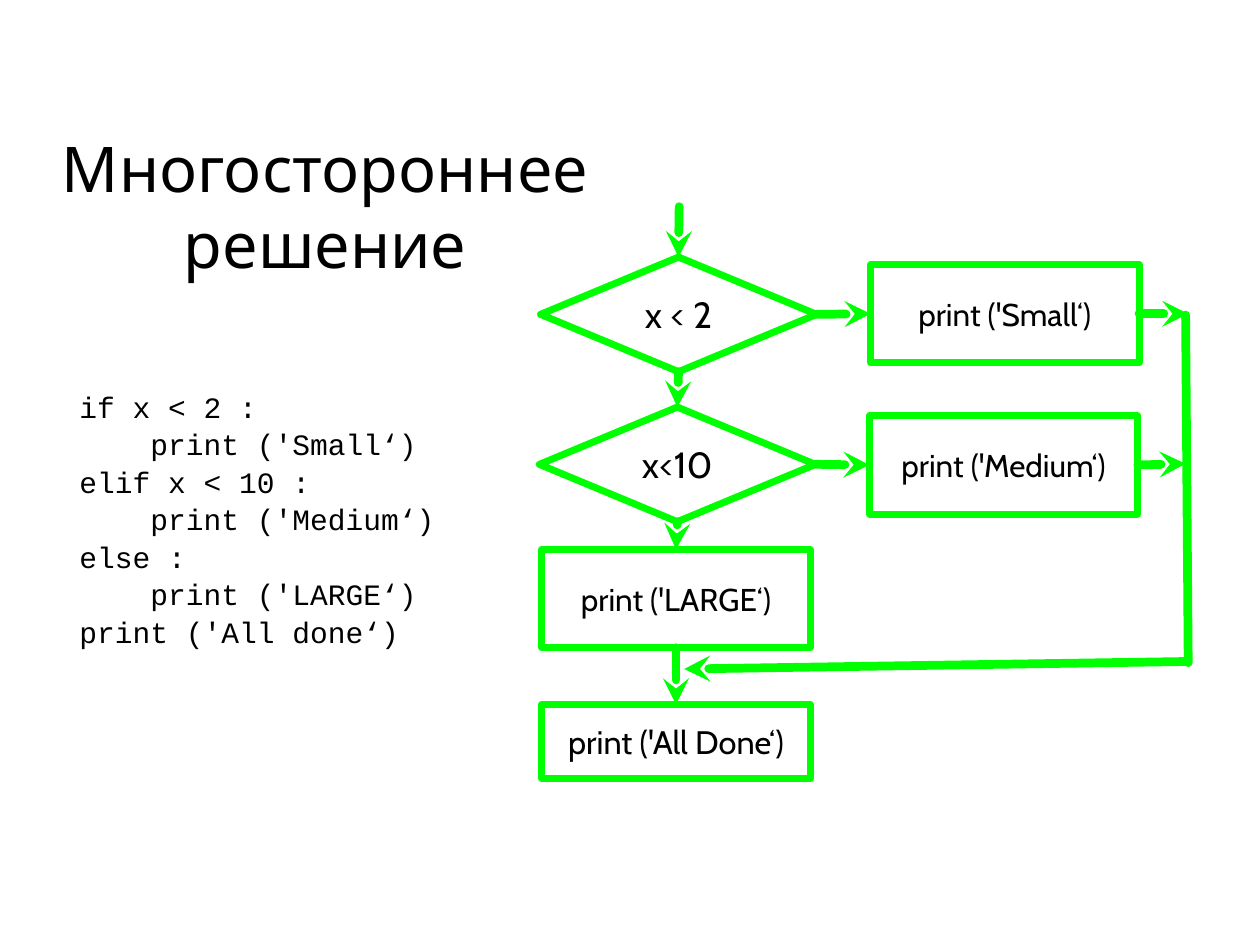
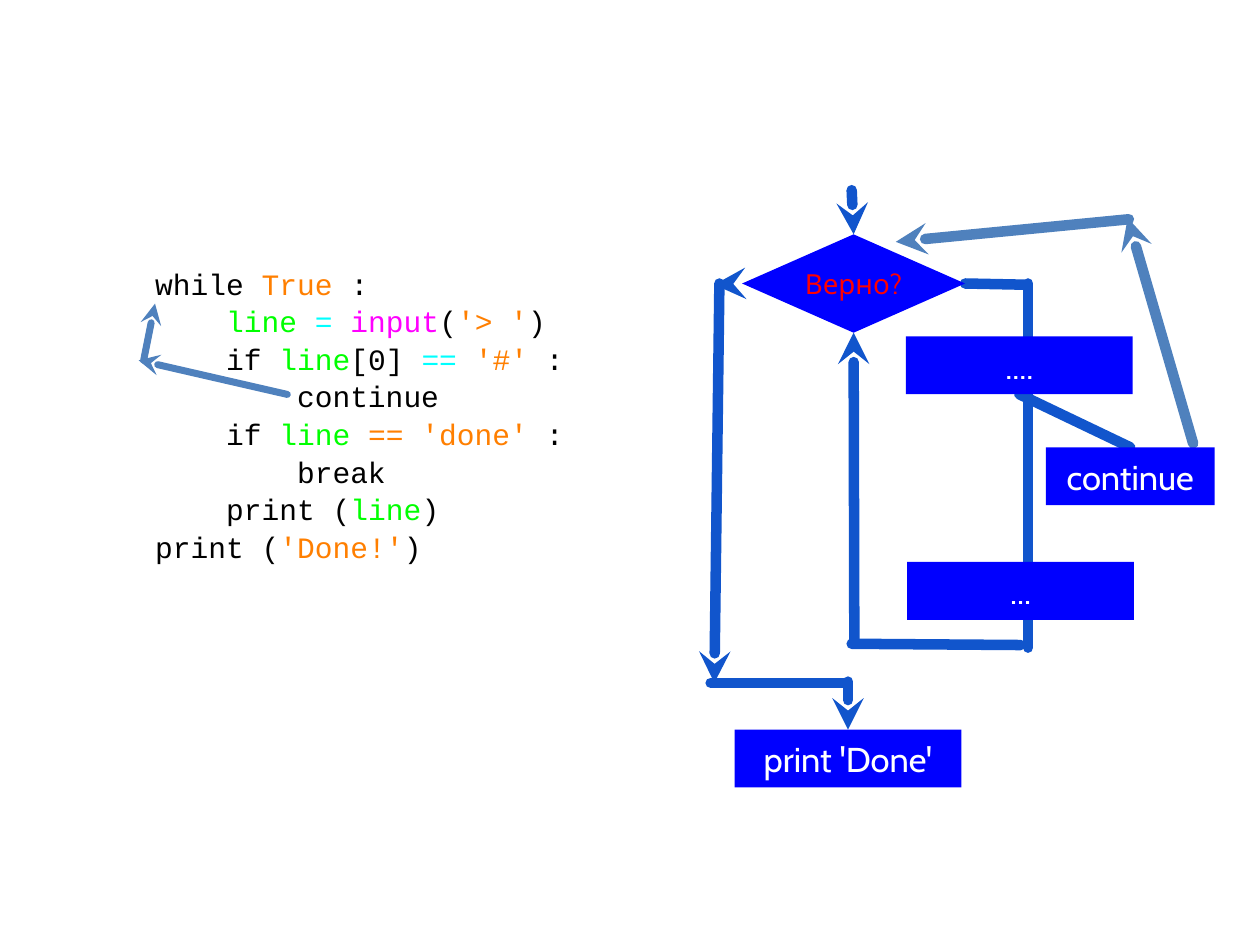
from dataclasses import dataclass
from typing import NamedTuple

from lxml.etree import SubElement
from pptx import Presentation
from pptx.dml.color import RGBColor
from pptx.enum.shapes import MSO_CONNECTOR as Connector, MSO_SHAPE as Shape
from pptx.enum.text import MSO_ANCHOR as Anchor, PP_ALIGN as Align
from pptx.oxml.ns import qn
from pptx.util import Pt

TOP, LEFT, BOTTOM, RIGHT = range(4)


@dataclass(frozen=True)
class Theme:
    ink: str = "000000"
    white: str = "FFFFFF"
    red: str = "FF0000"
    green: str = "00FF00"
    blue: str = "0000FF"
    flow_blue: str = "1155CC"
    steel: str = "4F81BD"
    orange: str = "FF7F00"
    cyan: str = "00FFFF"
    magenta: str = "FF00FF"
    font: str = "Cabin"
    code_font: str = "Courier New"
    title_size: float = 36
    code_size: float = 16.9
    code_spacing: float = 1.06
    condition_size: float = 20.8
    action_size: float = 18
    final_size: float = 18.6
    block_size: float = 19.7
    question_size: float = 15.8


class Joint(NamedTuple):
    shape: object
    side: int


class Deck:
    def __init__(self, theme):
        self.theme = theme
        self.presentation = Presentation()
        self.presentation.slide_width = Pt(720)
        self.presentation.slide_height = Pt(540)
        self.slide = None

    def new_slide(self):
        self.slide = self.presentation.slides.add_slide(self.presentation.slide_layouts[6])

    def style(self, paragraph, font, size, color=None):
        paragraph.font.name = font
        paragraph.font.size = Pt(size)
        if color:
            paragraph.font.color.rgb = RGBColor.from_string(color)

    def prepare(self, frame, inset=0):
        frame.word_wrap = True
        frame.vertical_anchor = Anchor.MIDDLE
        frame.margin_left = frame.margin_right = Pt(inset)
        frame.margin_top = frame.margin_bottom = Pt(inset)

    def text_box(self, bounds, inset=0):
        frame = self.slide.shapes.add_textbox(*map(Pt, bounds)).text_frame
        self.prepare(frame, inset)
        return frame

    def title(self, text, bounds):
        paragraph = self.text_box(bounds, 1.44).paragraphs[0]
        paragraph.text = text
        paragraph.alignment = Align.CENTER
        self.style(paragraph, self.theme.font, self.theme.title_size, self.theme.ink)

    def code(self, lines, bounds):
        theme = self.theme
        frame = self.text_box(bounds)
        indent = Pt(theme.code_size * 0.6 * 4)
        for index, (level, parts) in enumerate(lines):
            paragraph = frame.add_paragraph() if index else frame.paragraphs[0]
            paragraph.line_spacing = theme.code_spacing
            self.style(paragraph, theme.code_font, theme.code_size)
            paragraph._p.get_or_add_pPr().set("marL", str(level * indent))
            for text, color in parts:
                run = paragraph.add_run()
                run.text = text
                run.font.color.rgb = RGBColor.from_string(color)

    def box(self, text, bounds, size, color, kind=Shape.RECTANGLE, fill=None, outline=None):
        shape = self.slide.shapes.add_shape(kind, *map(Pt, bounds))
        shape.shadow.inherit = False
        if fill:
            shape.fill.solid()
            shape.fill.fore_color.rgb = RGBColor.from_string(fill)
        else:
            shape.fill.background()
        if outline:
            shape.line.color.rgb = RGBColor.from_string(outline)
            shape.line.width = Pt(4)
        else:
            shape.line.fill.background()
        self.prepare(shape.text_frame)
        paragraph = shape.text_frame.paragraphs[0]
        paragraph.text = text
        paragraph.alignment = Align.CENTER
        self.style(paragraph, self.theme.font, size, color)
        return shape

    def line(self, start, end, color, width, arrow=True):
        points = [(0, 0) if isinstance(point, Joint) else point for point in (start, end)]
        connector = self.slide.shapes.add_connector(
            Connector.STRAIGHT, *(Pt(value) for point in points for value in point))
        if isinstance(start, Joint):
            connector.begin_connect(*start)
        if isinstance(end, Joint):
            connector.end_connect(*end)
        connector.line.color.rgb = RGBColor.from_string(color)
        connector.line.width = Pt(width)
        outline = connector.line._get_or_add_ln()
        outline.set("cap", "rnd")
        SubElement(outline, qn("a:round"))
        if arrow:
            SubElement(outline, qn("a:tailEnd"), type="stealth")
        SubElement(connector._element.spPr, qn("a:effectLst"))
        tree = connector._element.getparent()
        tree.insert(2, connector._element)


def build_multiway_decision(deck):
    theme = deck.theme
    deck.new_slide()
    deck.title("Многостороннее решение", (24.5, 80.6, 322.6, 73.4))
    source = [
        (0, "if x < 2 :"),
        (1, "print ('Small‘)"),
        (0, "elif x < 10 :"),
        (1, "print ('Medium‘)"),
        (0, "else :"),
        (1, "print ('LARGE‘)"),
        (0, "print ('All done‘)"),
    ]
    deck.code([(level, [(text, theme.ink)]) for level, text in source],
              (45.4, 197.3, 226, 197.3))

    def condition(text, left, top):
        return deck.box(text, (left, top, 157.7, 65.5), theme.condition_size, theme.ink,
                        Shape.DIAMOND, outline=theme.green)

    def action(text, left, top, height=56.2, size=theme.action_size):
        return deck.box(text, (left, top, 153.4, height), size, theme.ink,
                        outline=theme.green)

    below_two = condition("x < 2", 308.9, 146.9)
    below_ten = condition("x<10", 308.2, 232.6)
    small = action("print ('Small‘)", 497.5, 151.2)
    medium = action("print ('Medium‘)", 496.8, 237.6)
    large = action("print ('LARGE‘)", 309.6, 313.9)
    all_done = action("print ('All Done‘)", 309.6, 402.5, 42.5, theme.final_size)

    arrows = [
        ((388.1, 118.1), Joint(below_two, TOP)),
        (Joint(below_two, BOTTOM), Joint(below_ten, TOP)),
        (Joint(below_ten, BOTTOM), Joint(large, TOP)),
        (Joint(large, BOTTOM), Joint(all_done, TOP)),
        (Joint(below_two, RIGHT), Joint(small, LEFT)),
        (Joint(below_ten, RIGHT), Joint(medium, LEFT)),
        (Joint(small, RIGHT), (679, 179.3)),
        (Joint(medium, RIGHT), (677.5, 265)),
        ((678.2, 378), (391, 382.3)),
    ]
    for start, end in arrows:
        deck.line(start, end, theme.green, 5)
    deck.line((677.5, 180), (679, 378.7), theme.green, 5, arrow=False)


def build_continue_loop(deck):
    theme = deck.theme
    ink, green, orange = theme.ink, theme.green, theme.orange
    deck.new_slide()
    question = deck.box("Верно?", (424.1, 133.9, 127.4, 56.2), theme.question_size,
                        theme.red, Shape.DIAMOND, fill=theme.blue)

    def block(text, left, top, width=129.6):
        return deck.box(text, (left, top, width, 33.1), theme.block_size, theme.white,
                        fill=theme.blue)

    first_step = block("....", 517.7, 192.2)
    block("...", 518.4, 321.1)
    skip = block("continue", 597.6, 255.6, 96.5)
    done = block("print 'Done'", 419.8, 416.9)

    deck.code([
        (0, [("while ", ink), ("True ", orange), (":", ink)]),
        (1, [("line ", green), ("= ", theme.cyan), ("input", theme.magenta), ("(", ink),
             ("'> '", orange), (")", ink)]),
        (1, [("if", ink), (" line", green), ("[0] ", ink), ("== ", theme.cyan),
             ("'#'", orange), (" :", ink)]),
        (2, [("continue", ink)]),
        (1, [("if ", ink), ("line ", green), ("== 'done' ", orange), (":", ink)]),
        (2, [("break", ink)]),
        (1, [("print (", ink), ("line", green), (")", ink)]),
        (0, [("print (", ink), ("'Done!'", orange), (")", ink)]),
    ], (88.6, 138.2, 267.1, 196.6))

    flow_arrows = [
        ((486.7, 108.7), Joint(question, TOP)),
        ((488.2, 365.8), Joint(question, BOTTOM)),
        (Joint(question, LEFT), (408.2, 162.7)),
        ((411.1, 162), (408.2, 390.2)),
        ((484.6, 389.5), Joint(done, TOP)),
    ]
    flow_lines = [
        (Joint(question, RIGHT), (585.4, 162.7)),
        ((587.5, 162), (587.5, 370.1)),
        ((583.2, 368.6), (486.7, 367.9)),
        ((406.1, 390.2), (483.1, 390.2)),
        (Joint(first_step, BOTTOM), Joint(skip, TOP)),
    ]
    for start, end in flow_arrows:
        deck.line(start, end, theme.flow_blue, 6)
    for start, end in flow_lines:
        deck.line(start, end, theme.flow_blue, 6, arrow=False)

    return_arrows = [
        ((681.8, 253.4), (644.4, 124.6), 6),
        ((645.1, 125.3), (511.9, 138.2), 6),
        ((164.2, 225.4), (79.2, 205.9), 4),
        ((82.1, 205.9), (88.6, 173.5), 4),
    ]
    for start, end, width in return_arrows:
        deck.line(start, end, theme.steel, width)


def main():
    deck = Deck(Theme())
    build_multiway_decision(deck)
    build_continue_loop(deck)
    deck.presentation.save("out.pptx")


if __name__ == "__main__":
    main()
